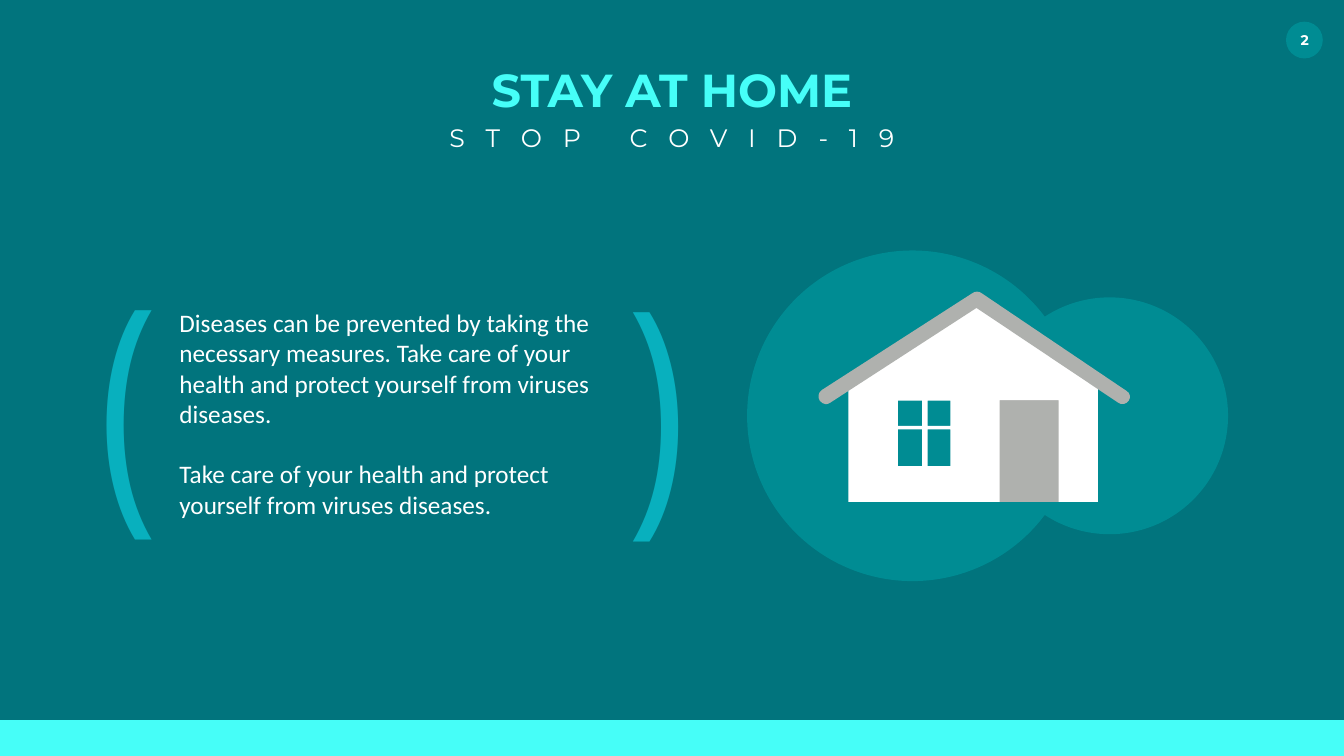
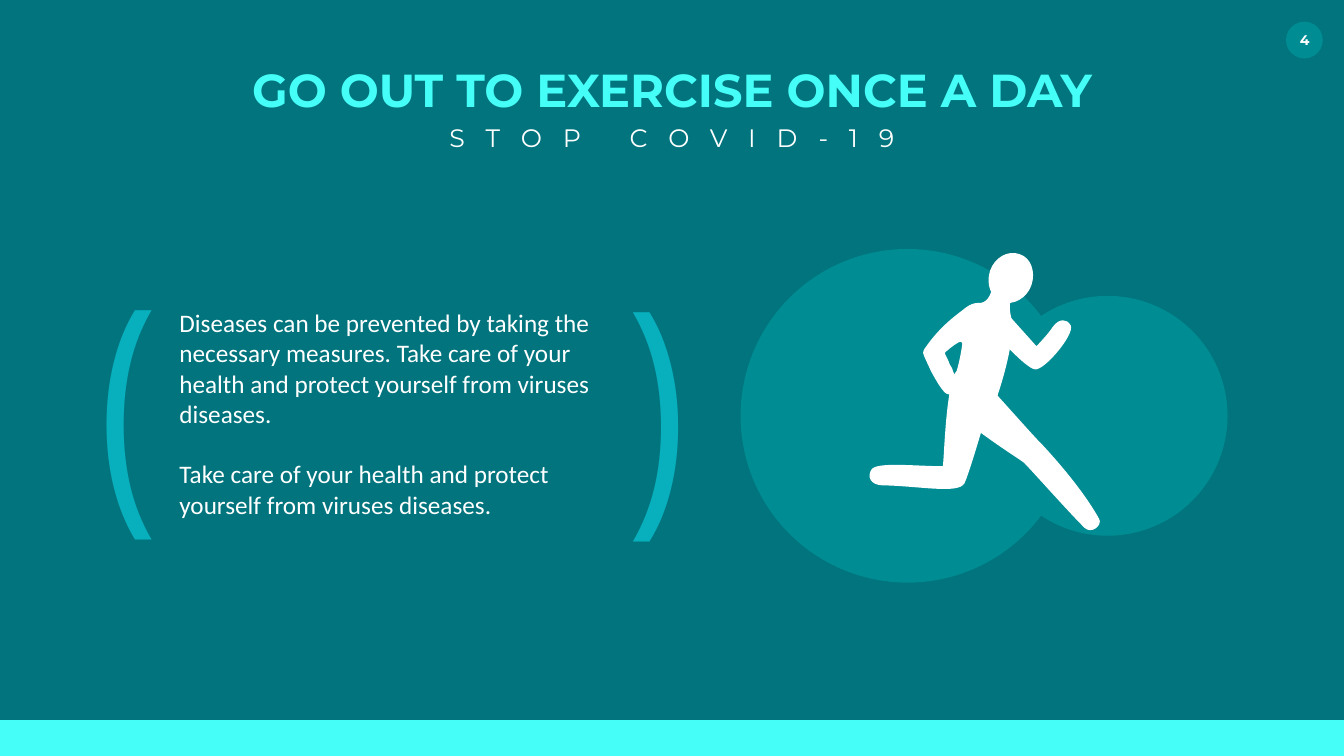
import math
from collections import namedtuple

from lxml import etree
from pptx import Presentation
from pptx.dml.color import RGBColor
from pptx.enum.shapes import MSO_SHAPE
from pptx.enum.text import MSO_AUTO_SIZE, PP_ALIGN
from pptx.oxml.ns import qn
from pptx.util import Inches, Pt

ELLIPSE, RECT = MSO_SHAPE.OVAL, MSO_SHAPE.RECTANGLE
CENTER, LEFT = PP_ALIGN.CENTER, PP_ALIGN.LEFT
GROW = MSO_AUTO_SIZE.SHAPE_TO_FIT_TEXT

Box = namedtuple("Box", "left top width height")

# The grid has one-inch cells: 26.66 columns by 15 rows.
COLUMNS, ROWS = 26.66, 15
BAND_HEIGHT = 0.71
HEADING = Box(0, 1.17, COLUMNS, 1.91)
MESSAGE = Box(1.51, 4.87, 12.54, 6.02)
ART = Box(14, 4, 11, 8)
BADGE = Box(25.51, 0.43, 0.73, 0.73)

DEEP, TEAL, AQUA = "01747D", "008C93", "46FEF8"
BLUE, GREY, WHITE = "08B0BE", "AFB1AE", "FFFFFF"

TITLE = {"name": "Montserrat", "size": Pt(66), "bold": True, "color": AQUA}
SUBTITLE = {"name": "Montserrat", "size": Pt(36), "color": WHITE}
BODY = {"name": "Calibri", "size": Pt(36), "color": WHITE}
BRACKET = {"name": "Montserrat", "size": Pt(350), "color": BLUE}
PAGE = {"name": "Montserrat", "size": Pt(20), "bold": True, "color": WHITE}

SUBTITLE_TEXT = "STOP COVID-19"
ADVICE = [
    "Diseases can be prevented by taking the necessary measures. "
    "Take care of your health and protect yourself from viruses diseases.",
    "Take care of your health and protect yourself from viruses diseases.",
]

# Outlines in cells from the corner of ART. A pair is a straight step,
# six numbers are a Bézier step (two handles and the end point).
ROOF = [
    (2.38, 4.02), (2.34, 4.02, 2.29, 3.99, 2.26, 3.95),
    (2.22, 3.89, 2.23, 3.78, 2.3, 3.74), (5.3, 1.81),
    (5.34, 1.78, 5.42, 1.78, 5.46, 1.81), (8.35, 3.76),
    (8.42, 3.8, 8.43, 3.89, 8.39, 3.95),
    (8.35, 4.02, 8.24, 4.04, 8.18, 3.99), (5.37, 2.11), (2.47, 3.99),
    (2.44, 4.01, 2.41, 4.02, 2.38, 4.02),
]
WALLS = [
    (5.39, 1.84), (2.83, 3.45), (2.83, 5.96), (5.83, 5.96), (5.83, 3.94),
    (7, 3.94), (7, 5.96), (7.78, 5.96), (7.78, 3.4),
]
PANE_COLUMNS = [(3.81, 4.29), (4.4, 4.85)]
PANE_ROWS = [(3.95, 4.45), (4.52, 5.25)]
DOOR = [(7.57, 5.96), (5.26, 5.96), (5.26, 3.92), (7.57, 3.92)]

HEAD = [
    (6.46, 1.66), (6.37, 1.92, 6.09, 2.07, 5.88, 1.99),
    (5.66, 1.92, 5.55, 1.64, 5.64, 1.37),
    (5.73, 1.11, 5.99, 0.96, 6.22, 1.04),
    (6.45, 1.11, 6.55, 1.39, 6.46, 1.66),
]
TORSO = [
    (6.08, 2.54), (6.1, 2.27, 5.99, 2.27, 6.05, 1.92), (5.67, 1.75),
    (5.67, 1.75, 5.63, 1.98, 5.46, 2.01),
    (5.4, 2.01, 5.28, 1.99, 5.1, 2.15),
    (4.86, 2.33, 4.61, 2.53, 4.34, 2.92),
    (4.34, 2.92, 4.31, 2.96, 4.31, 3),
    (4.32, 3.06, 4.4, 3.21, 4.47, 3.37),
    (4.58, 3.57, 4.7, 3.78, 4.79, 3.82), (4.81, 3.82),
    (4.86, 3.84, 4.89, 3.85, 4.91, 3.85),
    (4.98, 4.02, 5.13, 4.1, 5.37, 4.11),
    (5.55, 4.13, 5.57, 4.29, 5.66, 4.19),
    (5.75, 3.99, 6.05, 3.12, 6.08, 2.54),
]
ELBOW_GAP = [
    (4.84, 3.23), (4.81, 3.14, 4.76, 3.06, 4.75, 3.03),
    (4.74, 3.02, 4.74, 3, 4.75, 2.99),
    (4.79, 2.96, 4.89, 2.86, 5.02, 2.79),
    (5.05, 2.76, 5.09, 2.79, 5.09, 2.82),
    (5.07, 2.96, 5.02, 3.26, 4.94, 3.47),
    (4.94, 3.44, 4.93, 3.41, 4.91, 3.38),
    (4.9, 3.32, 4.87, 3.28, 4.84, 3.23),
]
FRONT_LEG = [
    (4.91, 4.08), (5.08, 4.4, 6.23, 5.11, 6.31, 5.18),
    (6.38, 5.24, 7.16, 6.12, 7.51, 6.47),
    (7.65, 6.61, 7.88, 6.42, 7.8, 6.29),
    (7.45, 5.66, 6.81, 4.97, 6.69, 4.84),
    (6.58, 4.74, 5.73, 3.78, 5.67, 3.72),
    (5.67, 3.72, 5.23, 3.27, 5, 3.36),
    (4.88, 3.41, 4.76, 3.74, 4.91, 4.08),
]
BACK_LEG = [
    (4.96, 3.39), (4.75, 3.71, 4.73, 5.16, 4.7, 5.25),
    (4.17, 5.25, 3.41, 5.16, 3.29, 5.31),
    (3.19, 5.46, 3.27, 5.62, 3.5, 5.63),
    (4.23, 5.64, 5.01, 5.81, 5.13, 5.59),
    (5.21, 5.45, 5.61, 4.09, 5.62, 4),
    (5.62, 4, 5.78, 3.39, 5.58, 3.26),
    (5.48, 3.18, 5.14, 3.1, 4.96, 3.39),
]
FRONT_ARM = [
    (5.72, 2.6), (5.72, 2.6, 6.36, 3.33, 6.54, 3.33),
    (6.74, 3.33, 7.32, 2.63, 7.24, 2.46),
    (7.17, 2.32, 7.01, 2.31, 6.88, 2.49),
    (6.81, 2.61, 6.56, 2.87, 6.56, 2.87), (5.96, 2.2),
]


def color(hex_string):
    return RGBColor.from_string(hex_string)


def paint(shape, fill):
    shape.shadow.inherit = False
    shape.fill.solid()
    shape.fill.fore_color.rgb = color(fill)
    shape.line.fill.background()


def add_preset(slide, kind, box, fill):
    paint(slide.shapes.add_shape(kind, *map(Inches, box)), fill)


def add_text(slide, box, paragraphs, style, align=CENTER, wrap=False, gap=0, tracking=0):
    """Add a text box; gap is the space between paragraphs, in points."""
    frame = slide.shapes.add_textbox(*map(Inches, box)).text_frame
    frame.word_wrap = wrap
    frame.auto_size = GROW
    for i, words in enumerate(paragraphs):
        paragraph = frame.add_paragraph() if i else frame.paragraphs[0]
        paragraph.alignment = align
        if i:
            paragraph.space_before = Pt(gap)
        run = paragraph.add_run()
        run.text = words
        for key, value in style.items():
            if key == "color":
                run.font.color.rgb = color(value)
            else:
                setattr(run.font, key, value)
        if tracking:
            run.font._element.set("spc", str(tracking * 100))


def bend(shape, contours):
    """Join the three straight steps that stand for each Bézier step."""
    outline = shape._element.find(".//" + qn("a:path"))
    nodes = iter(list(outline))
    for contour in contours:
        next(nodes)  # the move to the contour's first point
        for step in contour[1:]:
            legs = [next(nodes) for _ in range(len(step) // 2)]
            if len(legs) == 3:
                curve = etree.SubElement(outline, qn("a:cubicBezTo"))
                legs[0].addprevious(curve)
                for leg in legs:
                    curve.append(leg[0])
                    outline.remove(leg)
        next(nodes)  # the closing of the contour


def add_outline(slide, box, contours, fill):
    """Draw one filled outline; contours after the first are holes."""
    builder = None
    for contour in contours:
        first, *rest = [(Inches(box.left + x), Inches(box.top + y))
                        for step in contour for x, y in zip(step[::2], step[1::2])]
        if builder is None:
            builder = slide.shapes.build_freeform(*first)
        else:
            builder.move_to(*first)
        builder.add_line_segments(rest, close=True)
    shape = builder.convert_to_shape()
    bend(shape, contours)
    paint(shape, fill)


def arc(center, radius, start, end, pieces=4):
    """Return the first point of an arc and the Bézier steps along it."""
    cx, cy = center
    turn = (end - start) / pieces
    pull = 4 / 3 * math.tan(turn / 4)

    def point(angle, along):
        return (cx + radius * (math.cos(angle) - along * math.sin(angle)),
                cy + radius * (math.sin(angle) + along * math.cos(angle)))

    angles = [start + turn * i for i in range(pieces + 1)]
    return [point(start, 0)] + [point(a, pull) + point(b, -pull) + point(b, 0)
                                for a, b in zip(angles, angles[1:])]


def add_twin_circles(slide, box, big, small, middle=4.25):
    """Draw two merged circles, each given as (centre column, radius)."""
    (x1, r1), (x2, r2) = big, small
    distance = x2 - x1
    reach = (distance ** 2 + r1 ** 2 - r2 ** 2) / (2 * distance)
    a1 = math.acos(reach / r1)
    a2 = math.acos((reach - distance) / r2)
    contour = (arc((x1, middle), r1, a1, 2 * math.pi - a1)
               + arc((x2, middle), r2, -a2, a2)[1:])
    add_outline(slide, box, [contour], TEAL)


def draw_house(slide, box):
    add_twin_circles(slide, box, big=(4.1, 3.28), small=(8.01, 2.35))
    panes = [[(x1, y1), (x1, y2), (x2, y2), (x2, y1)]
             for x1, x2 in PANE_COLUMNS for y1, y2 in PANE_ROWS]
    add_outline(slide, box, [DOOR], GREY)
    add_outline(slide, box, [WALLS] + panes, WHITE)
    add_outline(slide, box, [ROOF], GREY)


def draw_runner(slide, box):
    add_twin_circles(slide, box, big=(4, 3.31), small=(7.97, 2.38))
    for part in ([HEAD], [TORSO, ELBOW_GAP], [FRONT_LEG], [BACK_LEG], [FRONT_ARM]):
        add_outline(slide, box, part, WHITE)


def add_heading(slide, box, title, title_width):
    for top, width, height, words, style, tracking in (
            (0, title_width, 1.21, title, TITLE, 0),
            (1.2, 9.55, 0.71, SUBTITLE_TEXT, SUBTITLE, 30)):
        left = box.left + (box.width - width) / 2
        add_text(slide, Box(left, box.top + top, width, height), [words], style,
                 tracking=tracking)


def add_message(slide, box):
    add_text(slide, Box(box.left + 1.95, box.top + 1.18, 9.22, 4.34), ADVICE, BODY,
             align=LEFT, wrap=True, gap=43.5)
    for bracket, left, top in ((")", 10.76, 0.03), ("(", 0, 0)):
        add_text(slide, Box(box.left + left, box.top + top, 1.78, 5.99), [bracket], BRACKET)


def add_frame(slide, page):
    """Add the backdrop, the bottom band and the page badge."""
    add_preset(slide, RECT, Box(0, 0, COLUMNS, ROWS), DEEP)
    add_preset(slide, RECT, Box(0, ROWS - BAND_HEIGHT, COLUMNS, BAND_HEIGHT), AQUA)
    add_preset(slide, ELLIPSE, BADGE, TEAL)
    number = Box(BADGE.left - 0.11, BADGE.top + 0.14, 0.96, 0.44)
    add_text(slide, number, [str(page)], PAGE)


def add_advice_slide(deck, page, title, title_width, draw_art):
    slide = deck.slides.add_slide(deck.slide_layouts[6])
    add_frame(slide, page)
    draw_art(slide, ART)
    add_heading(slide, HEADING, title, title_width)
    add_message(slide, MESSAGE)


def main():
    deck = Presentation()
    deck.slide_width, deck.slide_height = Inches(COLUMNS), Inches(ROWS)
    add_advice_slide(deck, 2, "STAY AT HOME", 7.54, draw_house)
    add_advice_slide(deck, 4, "GO OUT TO EXERCISE ONCE A DAY", 17.11, draw_runner)
    deck.save("out.pptx")


if __name__ == "__main__":
    main()
